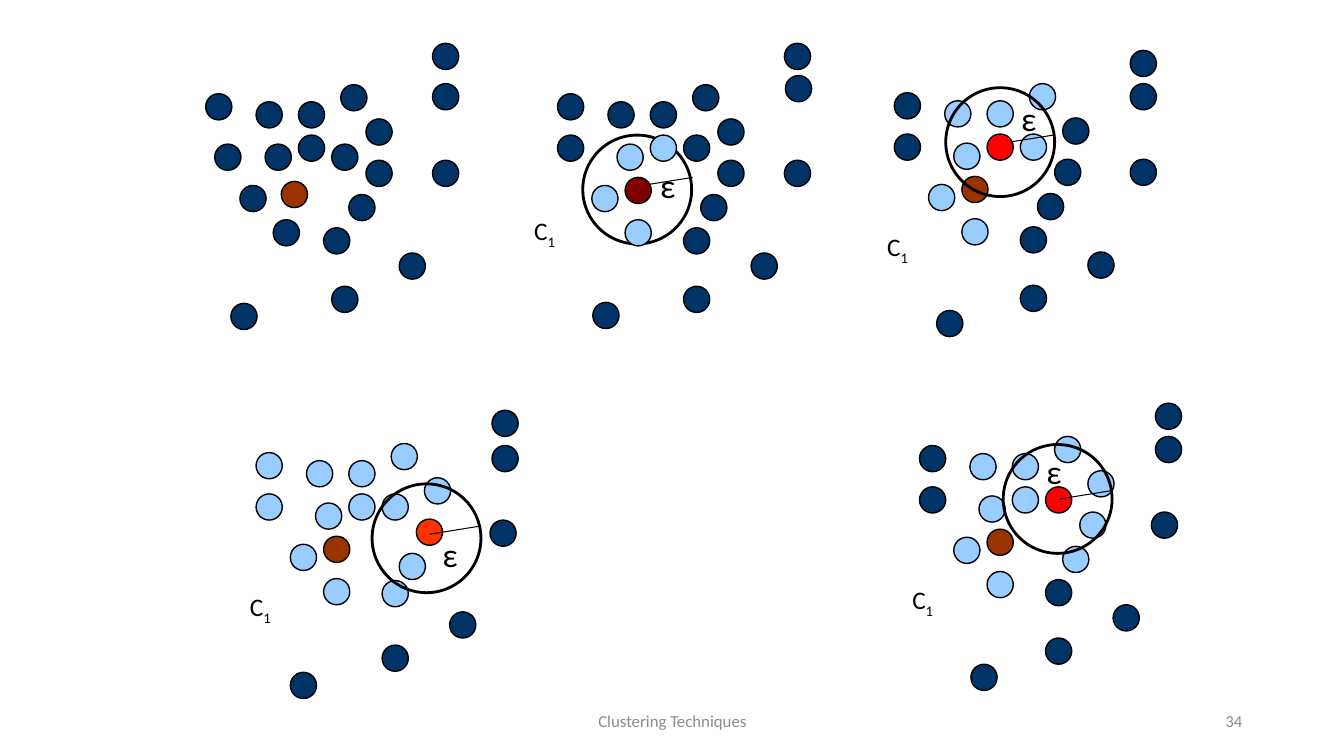
import pptx
import pptx.util
import pptx.dml.color
import pptx.enum.shapes
import pptx.enum.text
import pptx.oxml.ns
from lxml import etree

Inches, Pt = pptx.util.Inches, pptx.util.Pt
Align = pptx.enum.text.PP_ALIGN
Anchor = pptx.enum.text.MSO_ANCHOR

NAVY, LIGHT, BROWN, BLACK, GREY = "003366", "99CCFF", "993300", "000000", "8C8C8C"
DOT, RING = 0.26, 1.08

# Offsets of the points from point A; L is the seed of the cluster
CLOUD = {
    "A": (0, 0), "B": (0.09, 0.42), "C": (0.42, 0.33), "D": (-0.16, 0.83),
    "E": (0.75, 0.33), "F": (0.42, 0), "G": (0.17, 1.17), "H": (1.17, 0.17),
    "I": (0.84, -0.17), "J": (1.09, 0.58), "K": (0.92, 0.92), "L": (0.17, 0.75),
    "M": (-0.5, 0.33), "N": (0.75, 1.25), "O": (1.84, -0.17), "P": (-0.5, -0.08),
    "Q": (-0.08, 2.08), "R": (1.84, -0.5), "S": (1.84, 0.58), "T": (1.42, 1.5),
    "U": (0.75, 1.83),
}

# Each stage: place of point A, points that differ, clustered points, and the
# probe (point, colour, offsets of ring, radius, epsilon and label, draw order)
STAGES = [
    dict(at=(2.54, 1.01), members="",
         moved={"E": (0.75, 0.42), "H": (1.09, 0.17), "L": (0.25, 0.79),
                "M": (-0.41, 0.42), "N": (0.67, 1.25), "O": (1.75, -0.18),
                "Q": (-0.25, 2), "R": (1.75, -0.58), "S": (1.75, 0.58)}),
    dict(at=(6.03, 1.01), members="BCDG",
         moved={"H": (1.09, 0.17), "O": (1.76, -0.26), "Q": (-0.15, 1.99),
                "R": (1.75, -0.58), "S": (1.75, 0.58)},
         probe="L", color="800000", ring=(-0.25, 0.33), radius=(0.34, 0.83),
         eps=(0.42, 0.58), label=(-0.83, 1.08), ring_behind=True),
    dict(at=(9.37, 1), members="ABDEFGI", moved={},
         probe="C", color="FF0000", ring=(0.01, -0.13), radius=(0.58, 0.42),
         eps=(0.66, 0), label=(-0.67, 1.25)),
    dict(at=(9.62, 4.5), members="ABCDFGHIJK",
         moved={"Q": (0.01, 2.09), "S": (1.8, 0.58)},
         probe="E", color="FF0000", ring=(0.33, -0.09), radius=(0.89, 0.45),
         eps=(0.66, -0.08), label=(-0.67, 1.25), radius_on_top=True),
    dict(at=(3.04, 4.57), members="ABCDEFGHIKMNP",
         moved={"N": (0.75, 1.19), "Q": (-0.16, 2.1), "S": (1.82, 0.59),
                "O": (1.84, -0.15)},
         probe="J", color="FF3300", ring=(0.65, 0.23), radius=(1.22, 0.73),
         eps=(1.25, 0.68), label=(-0.66, 1.25), radius_on_top=True),
]
STAGES[2]["eps"] = (0.66, -0.08)


def rgb(color):
    return pptx.dml.color.RGBColor.from_string(color)


class Deck:
    font = "Calibri"

    def __init__(self, slide):
        self.slide = slide
        self.shapes = slide.shapes
        self.origin = (0, 0)

    def start_group(self, origin):
        self.shapes = self.slide.shapes.add_group_shape().shapes
        self.origin = origin

    def place(self, offset):
        return [Inches(o + d) for o, d in zip(self.origin, offset)]

    def circle(self, offset, size, fill=None, width=1):
        sp = self.shapes.add_shape(pptx.enum.shapes.MSO_SHAPE.OVAL,
                                   *self.place(offset), Inches(size), Inches(size))
        sp.shadow.inherit = False
        if fill:
            sp.fill.solid()
            sp.fill.fore_color.rgb = rgb(fill)
        else:
            sp.fill.background()
        sp.line.color.rgb = rgb(BLACK)
        sp.line.width = Pt(width)

    def radius(self, start):
        end = (start[0] + 0.5, start[1] - 0.08)
        cx = self.shapes.add_connector(pptx.enum.shapes.MSO_CONNECTOR.STRAIGHT,
                                       *self.place(start), *self.place(end))
        cx.line.color.rgb = rgb(BLACK)
        cx.line.width = Pt(0.75)
        etree.SubElement(cx._element.spPr, pptx.oxml.ns.qn("a:effectLst"))

    def text(self, offset, size, words, points, color=BLACK, align=Align.LEFT,
             anchor=Anchor.TOP, sub=None, wrap=True):
        sp = self.shapes.add_textbox(*self.place(offset), *map(Inches, size))
        tf = sp.text_frame
        tf.word_wrap = wrap
        tf.vertical_anchor = anchor
        p = tf.paragraphs[0]
        p.alignment = align
        p.add_run().text = words
        if sub:
            r = p.add_run()
            r.text = sub
            r.font._element.set("baseline", "-25000")
        p.font.name = self.font
        p.font.size = Pt(points)
        p.font.color.rgb = rgb(color)

    def stage(self, at, members, moved, probe=None, color=None, ring=None, radius=None,
              eps=None, label=None, ring_behind=False, radius_on_top=False):
        self.start_group(at)
        points = {**CLOUD, **moved}
        if ring_behind:
            self.circle(ring, RING, width=2)
        # Points around the probe
        for name, offset in points.items():
            if name != probe:
                fill = BROWN if name == "L" else LIGHT if name in members else NAVY
                self.circle(offset, DOT, fill)
        if not probe:
            return
        # Probe with its neighbourhood
        if not radius_on_top:
            self.radius(radius)
        self.circle(points[probe], DOT, color)
        if radius_on_top:
            self.radius(radius)
        if not ring_behind:
            self.circle(ring, RING, width=2)
        # Labels
        self.text(eps, (0.26, 0.5), "ε", 24)
        self.text(label, (0.47, 0.4), "C", 18, sub="1", wrap=False)


def main():
    prs = pptx.Presentation()
    prs.slide_width, prs.slide_height = Inches(13.33), Inches(7.5)
    deck = Deck(prs.slides.add_slide(prs.slide_layouts[6]))

    # Footer and slide number
    deck.text((4.42, 6.95), (4.5, 0.4), "Clustering Techniques", 12, GREY,
              Align.CENTER, Anchor.MIDDLE)
    deck.text((9.42, 6.95), (3, 0.4), "34", 12, GREY, Align.RIGHT, Anchor.MIDDLE)

    # Stages of the cluster growth
    for stage in STAGES:
        deck.stage(**stage)
    prs.save("out.pptx")


if __name__ == "__main__":
    main()
